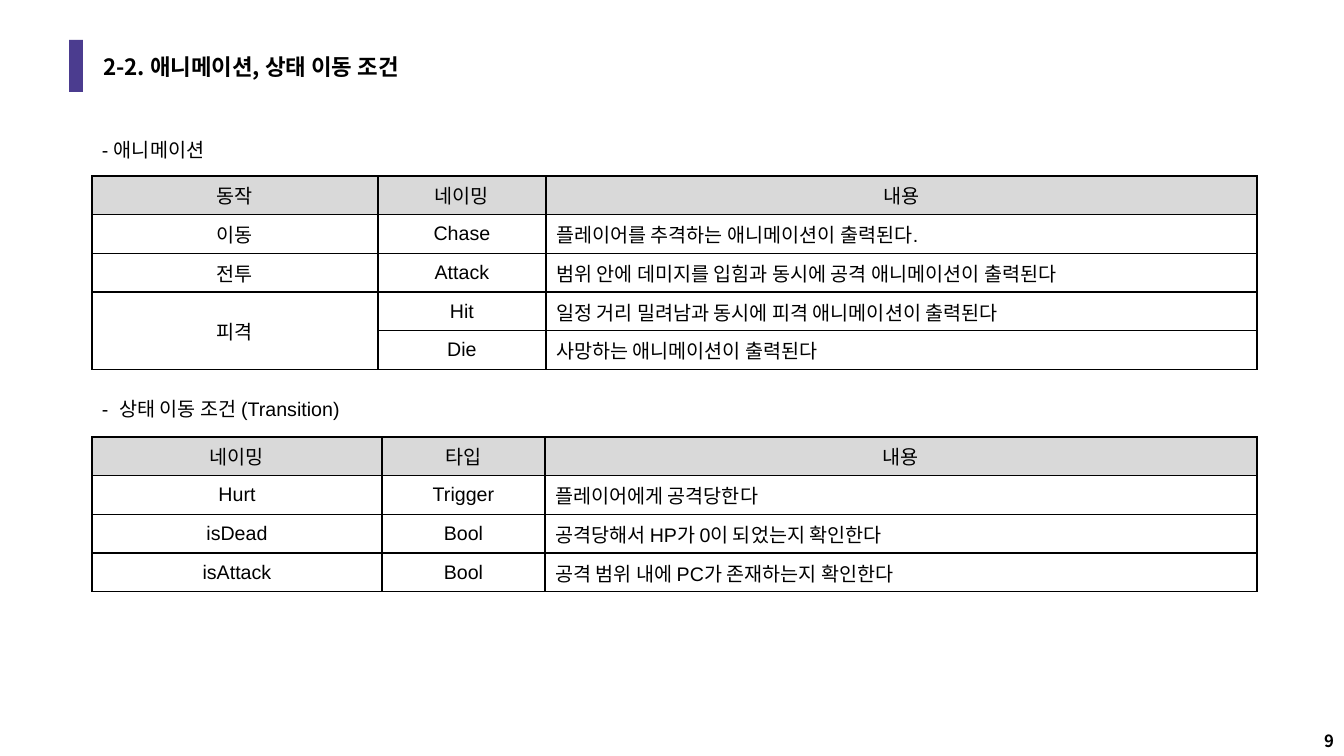
"""Build the slide on animations and state transition conditions."""
from pptx import Presentation
from pptx import util as u
from pptx.dml.color import RGBColor
from pptx.enum import shapes, text
from pptx.oxml import parse_xml
from pptx.oxml.ns import nsdecls, qn

TITLE = "2-2. 애니메이션, 상태 이동 조건"
PAGE = "9"
LABELS = [
    ("- 애니메이션", (92, 133, 131, 34)),
    ("-  상태 이동 조건 (Transition)", (92, 392, 273, 34)),
]
TABLES = [
    {
        "top": 176,
        "cols": (286, 168, 711),
        "rows": [
            ("동작", "네이밍", "내용"),
            ("이동", "Chase", "플레이어를 추격하는 애니메이션이 출력된다."),
            ("전투", "Attack", "범위 안에 데미지를 입힘과 동시에 공격 애니메이션이 출력된다"),
            ("피격", "Hit", "일정 거리 밀려남과 동시에 피격 애니메이션이 출력된다"),
            (None, "Die", "사망하는 애니메이션이 출력된다"),
        ],
    },
    {
        "top": 437,
        "cols": (290, 163, 712),
        "rows": [
            ("네이밍", "타입", "내용"),
            ("Hurt", "Trigger", "플레이어에게 공격당한다"),
            ("isDead", "Bool", "공격당해서 HP가 0이 되었는지 확인한다"),
            ("isAttack", "Bool", "공격 범위 내에 PC가 존재하는지 확인한다"),
        ],
    },
]
HUES = {"ink": "000000", "bar": "4B3C8F", "head": "D9D9D9", "cell": "FFFFFF"}
SANS, HAN = "Arial", "Noto Sans CJK KR"
LEFT, ROW = 92, 34


def px(n):
    return u.Emu(round(n * 914400 / 100.8))


def box(*nums):
    return [px(n) for n in nums]


def hue(name):
    return RGBColor.from_string(HUES[name])


def write(frame, words, size, face, align, bold=False):
    para = frame.paragraphs[0]
    para.text = words
    para.alignment = align
    font = para.font
    font.size, font.name, font.bold = u.Pt(size), face, bold
    font.color.rgb = hue("ink")
    props = para._p.pPr.find(qn("a:defRPr"))
    latin = props.find(qn("a:latin"))
    latin.addnext(parse_xml(f'<a:ea {nsdecls("a")} typeface="{HAN}"/>'))
    return para


def edge(cell):
    props = cell._tc.get_or_add_tcPr()
    for i, side in enumerate(("lnL", "lnR", "lnT", "lnB")):
        props.insert(i, parse_xml(
            f'<a:{side} {nsdecls("a")} w="12700"><a:solidFill>'
            f'<a:srgbClr val="{HUES["ink"]}"/></a:solidFill></a:{side}>'))


def add_grid(slide, top, cols, rows):
    area = box(LEFT, top, sum(cols), ROW * len(rows))
    grid = slide.shapes.add_table(len(rows), len(cols), *area).table
    for col, wide in zip(grid.columns, cols):
        col.width = px(wide)
    for r, row in enumerate(rows):
        grid.rows[r].height = px(ROW)
        for c, words in enumerate(row):
            cell = grid.cell(r, c)
            cell.fill.solid()
            cell.fill.fore_color.rgb = hue("cell" if r else "head")
            cell.vertical_anchor = text.MSO_ANCHOR.MIDDLE
            edge(cell)
            if words is None:
                grid.cell(r - 1, c).merge(cell)
                continue
            left = r and c == len(cols) - 1
            align = text.PP_ALIGN.LEFT if left else text.PP_ALIGN.CENTER
            write(cell.text_frame, words, 14, SANS, align)


def main():
    prs = Presentation()
    prs.slide_width, prs.slide_height = box(1344, 756)
    slide = prs.slides.add_slide(prs.slide_layouts[5])

    bar = slide.shapes.add_shape(shapes.MSO_SHAPE.RECTANGLE, *box(69, 40, 14, 52))
    bar.shadow.inherit = False
    bar.fill.solid()
    bar.fill.fore_color.rgb = hue("bar")
    bar.line.fill.background()

    title = slide.shapes.title
    title.left, title.top, title.width, title.height = box(93, 40, 1159, 52)
    frame = title.text_frame
    frame.auto_size = text.MSO_AUTO_SIZE.NONE
    frame.vertical_anchor = text.MSO_ANCHOR.MIDDLE
    para = write(frame, TITLE, 20, HAN, text.PP_ALIGN.LEFT, True)
    para.line_spacing = 0.9
    para._p.pPr.find(qn("a:defRPr")).set("cap", "small")

    for grid in TABLES:
        add_grid(slide, **grid)

    for words, area in LABELS:
        frame = slide.shapes.add_textbox(*box(*area)).text_frame
        frame.word_wrap = False
        frame.auto_size = text.MSO_AUTO_SIZE.SHAPE_TO_FIT_TEXT
        write(frame, words, 14, SANS, text.PP_ALIGN.LEFT)

    frame = slide.shapes.add_textbox(*box(1252, 716, 92, 40)).text_frame
    frame.word_wrap = True
    frame.vertical_anchor = text.MSO_ANCHOR.BOTTOM
    write(frame, PAGE, 12, HAN, text.PP_ALIGN.RIGHT, True)

    prs.save("out.pptx")


if __name__ == "__main__":
    main()
